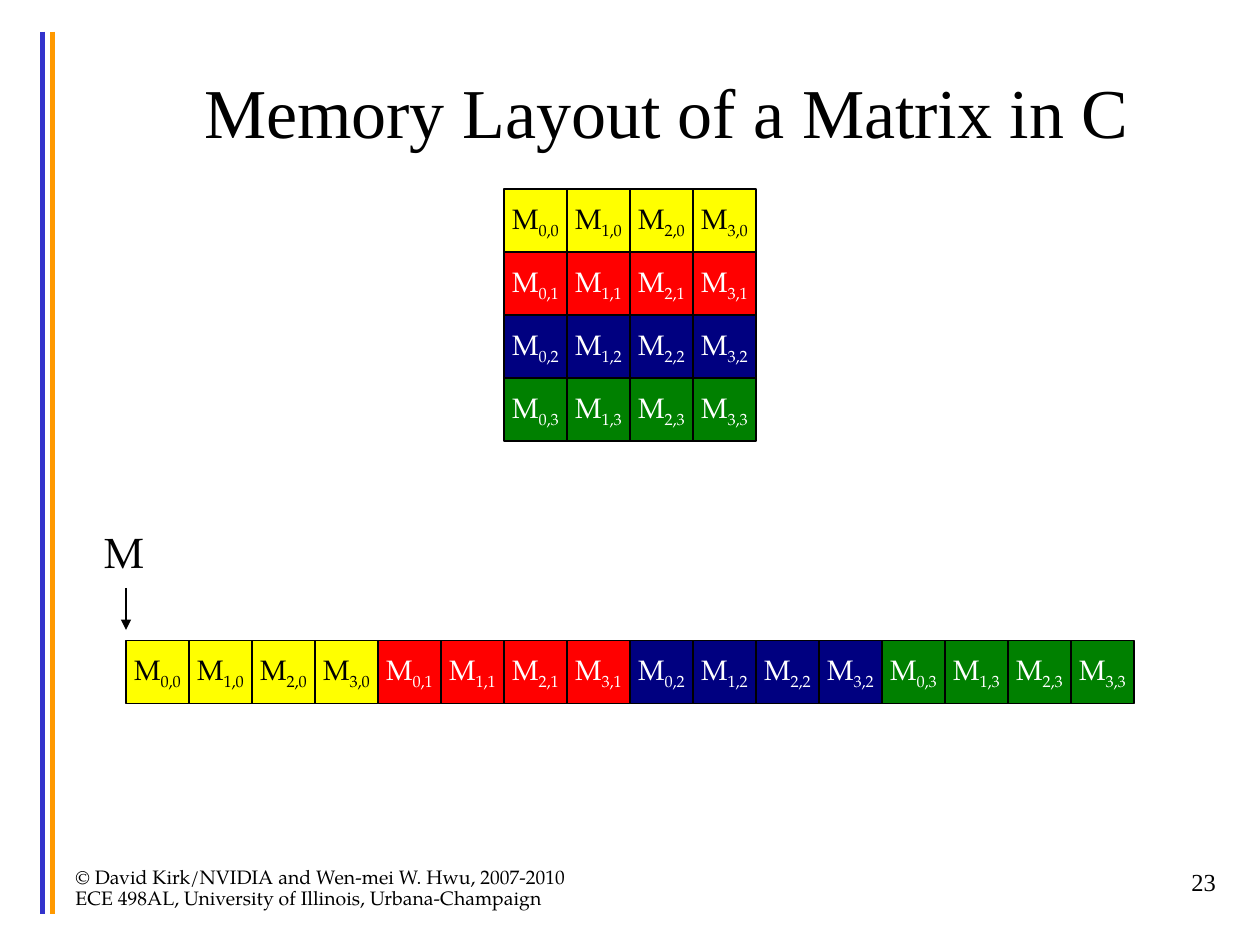
import pptx
import pptx.dml.color
import pptx.enum.dml
import pptx.enum.shapes
import pptx.enum.text
import pptx.oxml
import pptx.oxml.ns
import pptx.util
from pptx.util import Cm


class Theme:
    serif = "Times New Roman"
    book = "TeX Gyre Pagella"
    black, white = "000000", "FFFFFF"
    blue, orange = "3333CC", "FF9900"
    rows = [("FFFF00", black), ("FF0000", white), ("000080", white), ("008000", white)]
    title, label, cell, number, footer = 40, 24, 16, 14, 11.1
    rule, thin = 3, 0.75


ALIGN = pptx.enum.text.PP_ALIGN
MIDDLE = pptx.enum.text.MSO_ANCHOR.MIDDLE
rgb = pptx.dml.color.RGBColor.from_string


def add_run(p, text, size, font, color=Theme.black):
    r = p.add_run()
    r.text = text
    r.font.size = pptx.util.Pt(size)
    r.font.name = font
    r.font.color.rgb = rgb(color)
    return r


def add_line(x, y1, y2, color, width):
    ln = s.shapes.add_connector(pptx.enum.shapes.MSO_CONNECTOR.STRAIGHT,
                                Cm(x), Cm(y1), Cm(x), Cm(y2))
    ln.line.color.rgb = rgb(color)
    ln.line.width = pptx.util.Pt(width)
    pptx.oxml.ns.qn("a:ln")
    ln.line.fill.solid()
    ln.line.color.rgb = rgb(color)
    ln._element.spPr.append(pptx.oxml.parse_xml(
        f'<a:effectLst {pptx.oxml.ns.nsdecls("a")}/>'))
    return ln


prs = pptx.Presentation()
prs.slide_width, prs.slide_height = Cm(25.4), Cm(19.05)
s = prs.slides.add_slide(prs.slide_layouts[6])

# Vertical rules on the left edge
add_line(0.85, 0.64, 18.42, Theme.blue, Theme.rule)
add_line(1.06, 0.64, 18.42, Theme.orange, Theme.rule)

# Title, footer, slide number and pointer label
texts = [
    (1.9, 0.64, 23.07, 3.17, ["Memory Layout of a Matrix in C"],
     Theme.title, Theme.serif, ALIGN.CENTER, 1),
    (1.27, 17.36, 13.55, 1.27, ["© David Kirk/NVIDIA and Wen-mei W. Hwu, 2007-2010",
                                "ECE 498AL, University of Illinois, Urbana-Champaign"],
     Theme.footer, Theme.book, ALIGN.LEFT, 0.9),
    (19.47, 17.36, 5.29, 1.27, ["23"], Theme.number, Theme.serif, ALIGN.RIGHT, 1),
    (1.85, 10.49, 1.3, 1.27, ["M"], Theme.label, Theme.book, ALIGN.LEFT, 1),
]
for x, y, w, h, lines, size, font, align, spacing in texts:
    tf = s.shapes.add_textbox(Cm(x), Cm(y), Cm(w), Cm(h)).text_frame
    tf.word_wrap = lines != ["M"]
    if size == Theme.title:
        tf.vertical_anchor = MIDDLE
    for i, line in enumerate(lines):
        p = tf.add_paragraph() if i else tf.paragraphs[0]
        p.alignment = align
        p.line_spacing = spacing
        add_run(p, line, size, font)

# Each element appears in the 4 x 4 matrix and in the linear memory strip
side, n = 1.27, 4
for row, (fill, color) in enumerate(Theme.rows):
    for col in range(n):
        matrix_at = 10.16 + col * side, 3.81 + row * side
        memory_at = 2.54 + (row * n + col) * side, 12.91
        for x, y in (matrix_at, memory_at):
            sp = s.shapes.add_shape(pptx.enum.shapes.MSO_SHAPE.RECTANGLE,
                                    Cm(x), Cm(y), Cm(side), Cm(side))
            sp.shadow.inherit = False
            sp.fill.solid()
            sp.fill.fore_color.rgb = rgb(fill)
            sp.line.color.rgb = rgb(Theme.black)
            sp.line.width = pptx.util.Pt(Theme.thin)
            tf = sp.text_frame
            tf.word_wrap = False
            tf.vertical_anchor = MIDDLE
            p = tf.paragraphs[0]
            p.alignment = ALIGN.CENTER
            add_run(p, "M", Theme.cell, Theme.book, color)
            r = add_run(p, f"{col},{row}", Theme.cell, Theme.book, color)
            r.font._element.set("baseline", "-25000")

# Arrow from the label to the start of memory
arrow = add_line(2.54, 11.85, 12.7, Theme.black, Theme.thin)
arrow.line._get_or_add_ln().append(pptx.oxml.parse_xml(
    f'<a:tailEnd {pptx.oxml.ns.nsdecls("a")} type="triangle"/>'))

prs.save("out.pptx")
